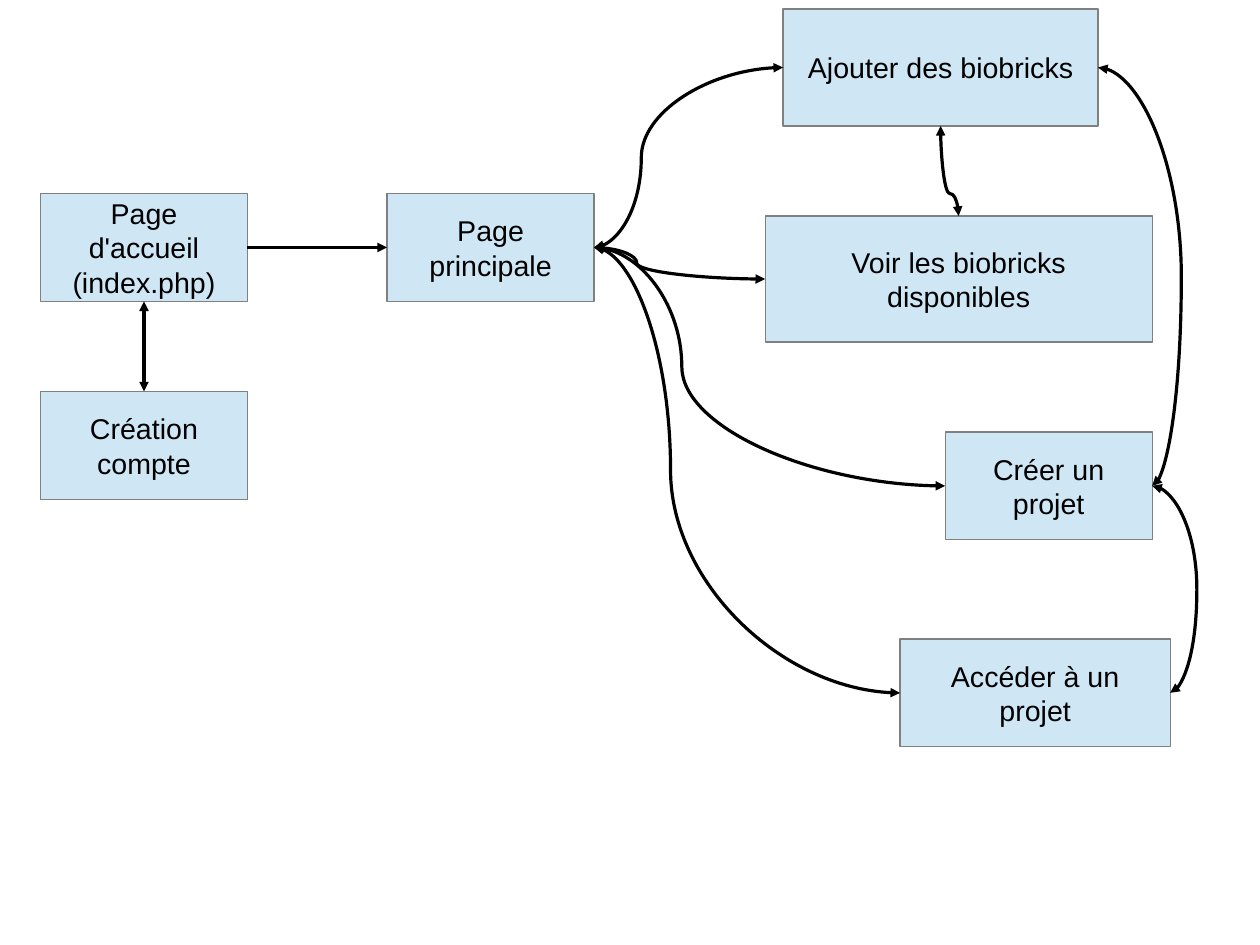
from lxml.etree import SubElement
from pptx import Presentation
from pptx.dml.color import RGBColor
from pptx.enum.shapes import MSO_CONNECTOR, MSO_SHAPE
from pptx.enum.text import MSO_ANCHOR, PP_ALIGN
from pptx.oxml.ns import qn
from pptx.util import Pt

COLORS = {"fill": "CFE7F5", "border": "808080", "ink": "000000"}
FONT = {"name": "Arial", "size": Pt(18)}
FRAME = {"word_wrap": True, "vertical_anchor": MSO_ANCHOR.MIDDLE,
         "margin_left": Pt(7.2), "margin_right": Pt(7.2),
         "margin_top": Pt(3.6), "margin_bottom": Pt(3.6)}
TOP, LEFT, BOTTOM, RIGHT = range(4)
PAGE_W, PAGE_H = 130.4, 68

ENTRY = {"accueil": ("Page d'accueil\n(index.php)", 0, 0, PAGE_W, PAGE_H),
         "compte": ("Création compte", 0, 124.7, PAGE_W, PAGE_H)}
MAIN = {"principale": ("Page principale", 0, 0, PAGE_W, PAGE_H)}
FEATURES = {"ajouter": ("Ajouter des biobricks", 11.3, 0, 198.4, 73.7),
            "voir": ("Voir les biobricks disponibles", 0, 130.4, 243.8, 79.4),
            "creer": ("Créer un projet", 113.4, 266.4, PAGE_W, PAGE_H),
            "acceder": ("Accéder à un projet", 85, 396.8, 170.1, PAGE_H)}
CURVES = [("principale", RIGHT, "voir", LEFT, 25000),
          ("principale", RIGHT, "acceder", LEFT, 25000),
          ("principale", RIGHT, "creer", LEFT, 25000),
          ("principale", RIGHT, "ajouter", LEFT, 25000),
          ("creer", RIGHT, "ajouter", RIGHT, -53900),
          ("acceder", RIGHT, "creer", RIGHT, -149000),
          ("voir", TOP, "ajouter", BOTTOM, 25000)]


def rgb(name):
    """Return the named colour."""
    return RGBColor.from_string(COLORS[name])


def set_all(target, values):
    """Set attributes from a dict of format values."""
    for name, value in values.items():
        setattr(target, name, value)


def add_pages(s, box, pages):
    """Draw a group of page boxes from the top left corner of its box."""
    x, y = box
    shapes = {}
    for key, (text, dx, dy, w, h) in pages.items():
        sp = s.shapes.add_shape(MSO_SHAPE.RECTANGLE, Pt(x + dx), Pt(y + dy), Pt(w), Pt(h))
        sp.shadow.inherit = False
        sp.fill.solid()
        sp.fill.fore_color.rgb = rgb("fill")
        sp.line.color.rgb = rgb("border")
        sp.line.width = Pt(0)
        tf = sp.text_frame
        set_all(tf, FRAME)
        tf.text = text
        for p in tf.paragraphs:
            p.alignment = PP_ALIGN.CENTER
            set_all(p.font, FONT)
            p.font.color.rgb = rgb("ink")
        shapes[key] = sp
    return shapes


def add_link(s, kind, start, start_site, end, end_site, both=True):
    """Join two pages with an arrow, pointing both ways by default."""
    sp = s.shapes.add_connector(kind, 0, 0, 0, 0)
    sp.begin_connect(start, start_site)
    sp.end_connect(end, end_site)
    sp.line.color.rgb = rgb("ink")
    sp.line.width = Pt(0)
    ln = sp.line._get_or_add_ln()
    for tag in ("a:headEnd", "a:tailEnd") if both else ("a:tailEnd",):
        SubElement(ln, qn(tag), type="triangle")
    SubElement(sp._element.spPr, qn("a:effectLst"))
    return sp


def bend(sp, adjust):
    """Place the middle of a curved link."""
    guides = sp._element.spPr.find(qn("a:prstGeom")).get_or_add_avLst()
    SubElement(guides, qn("a:gd"), name="adj1", fmla=f"val {adjust}")


def turn_upright(sp):
    """Turn a curved link so that it leaves its page upwards."""
    x, y, w, h = sp.left, sp.top, sp.width, sp.height
    set_all(sp, {"left": x + (w - h) // 2, "top": y + (h - w) // 2,
                 "width": h, "height": w})
    xfrm = sp._element.spPr.find(qn("a:xfrm"))
    xfrm.set("rot", "16200000")
    xfrm.set("flipH", "0")
    xfrm.set("flipV", "1")


def add_links(s, pages):
    """Draw all the arrows between the pages."""
    straight = MSO_CONNECTOR.STRAIGHT
    add_link(s, straight, pages["compte"], TOP, pages["accueil"], BOTTOM)
    add_link(s, straight, pages["accueil"], RIGHT, pages["principale"], LEFT, both=False)
    for start, start_site, end, end_site, adjust in CURVES:
        sp = add_link(s, MSO_CONNECTOR.CURVE, pages[start], start_site, pages[end], end_site)
        bend(sp, adjust)
        if start_site == TOP:
            turn_upright(sp)


def main():
    """Build the site map slide."""
    prs = Presentation()
    set_all(prs, {"slide_width": Pt(793.6), "slide_height": Pt(595.3)})
    s = prs.slides.add_slide(prs.slide_layouts[6])
    pages = {**add_pages(s, (25.5, 121.9), ENTRY),
             **add_pages(s, (243.8, 121.9), MAIN),
             **add_pages(s, (481.9, 5.7), FEATURES)}
    add_links(s, pages)
    prs.save("out.pptx")


if __name__ == "__main__":
    main()
